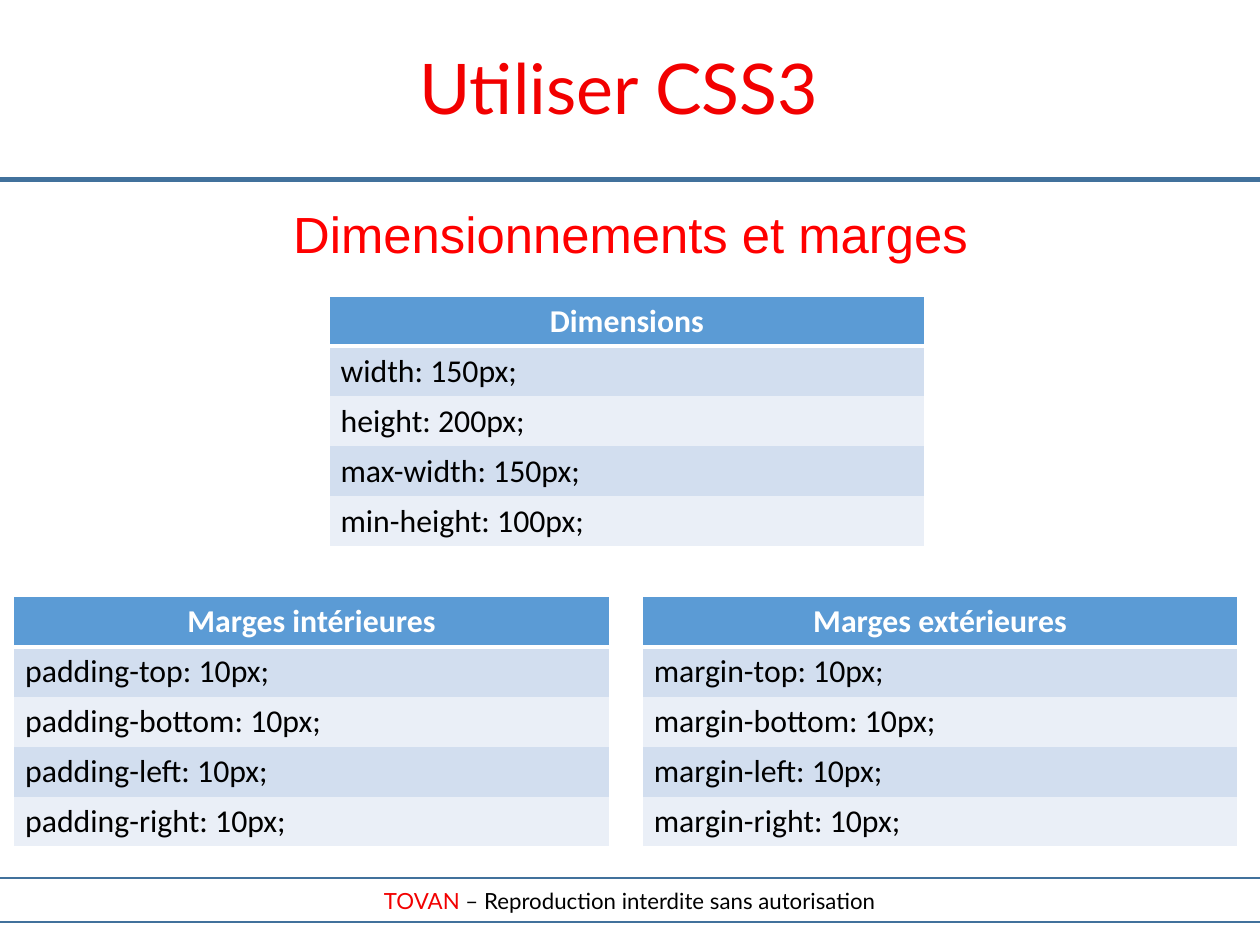
from dataclasses import dataclass

from lxml import etree
from pptx import Presentation
from pptx.dml.color import RGBColor
from pptx.enum.shapes import MSO_CONNECTOR, MSO_SHAPE
from pptx.enum.text import MSO_ANCHOR, MSO_AUTO_SIZE, PP_ALIGN
from pptx.oxml.ns import qn
from pptx.util import Inches, Pt

CENTER, LEFT = PP_ALIGN.CENTER, PP_ALIGN.LEFT
TOP, MIDDLE = MSO_ANCHOR.TOP, MSO_ANCHOR.MIDDLE
GROW = MSO_AUTO_SIZE.SHAPE_TO_FIT_TEXT
STRAIGHT, RECTANGLE = MSO_CONNECTOR.STRAIGHT, MSO_SHAPE.RECTANGLE

COLORS = {
    "title": "F20000",
    "subtitle": "FF0000",
    "rule": "41719C",
    "header": "5B9BD5",
    "odd": "D2DEEF",
    "even": "EAEFF7",
    "white": "FFFFFF",
    "black": "000000",
}
# The page measures 28 by 21 centimetres
PAGE_WIDTH, PAGE_HEIGHT = 28 / 2.54, 21 / 2.54
TABLE_WIDTH, TABLE_HEIGHT = 5.21, 2.19


@dataclass
class PropertyTable:
    left: float
    top: float
    heading: str
    rules: list[str]


TABLES = [
    PropertyTable(5.62, 5.22, "Marges extérieures",
                  [f"margin-{side}: 10px;" for side in ("top", "bottom", "left", "right")]),
    PropertyTable(2.88, 2.59, "Dimensions",
                  ["width: 150px;", "height: 200px;", "max-width: 150px;", "min-height: 100px;"]),
    PropertyTable(0.12, 5.22, "Marges intérieures",
                  [f"padding-{side}: 10px;" for side in ("top", "bottom", "left", "right")]),
]


def color(name: str) -> RGBColor:
    return RGBColor.from_string(COLORS[name])


def add_run(para, text: str, font: str, size: float, color_name: str, bold: bool = False) -> None:
    span = para.add_run()
    span.text = text
    span.font.name = font
    span.font.size = Pt(size)
    span.font.bold = bold
    span.font.color.rgb = color(color_name)


def place(box, left: float, top: float, width: float, height: float) -> None:
    box.left, box.top = Inches(left), Inches(top)
    box.width, box.height = Inches(width), Inches(height)


def set_insets(frame, across: float, down: float) -> None:
    frame.margin_left = frame.margin_right = Inches(across)
    frame.margin_top = frame.margin_bottom = Inches(down)
    frame.word_wrap = True


def add_border(cell, side: str, points: float) -> None:
    """Draw a white cell border, or none when points is zero."""
    line = etree.SubElement(cell._tc.get_or_add_tcPr(), qn(f"a:ln{side}"), w=str(Pt(points)))
    if points:
        fill = etree.SubElement(line, qn("a:solidFill"))
        etree.SubElement(fill, qn("a:srgbClr"), val=COLORS["white"])
    else:
        etree.SubElement(line, qn("a:noFill"))


def add_property_table(page, item: PropertyTable) -> None:
    texts = [item.heading, *item.rules]
    count = len(texts)
    table = page.shapes.add_table(count, 1, Inches(item.left), Inches(item.top),
                                  Inches(TABLE_WIDTH), Inches(TABLE_HEIGHT)).table
    # Widths of the horizontal borders, from the top edge to the bottom edge
    edges = [1, 3] + [0] * (count - 2) + [1]
    for row, text in enumerate(texts):
        cell = table.cell(row, 0)
        for side, points in zip("LRTB", (1, 1, edges[row], edges[row + 1])):
            add_border(cell, side, points)
        is_header = row == 0
        cell.fill.solid()
        cell.fill.fore_color.rgb = color("header" if is_header else "odd" if row % 2 else "even")
        para = cell.text_frame.paragraphs[0]
        para.alignment = CENTER if is_header else LEFT
        add_run(para, text, "Calibri", 20, "white" if is_header else "black", is_header)


def add_footer(page) -> None:
    box = page.shapes.add_shape(RECTANGLE, Inches(-0.2), Inches(7.68), Inches(11.42), Inches(0.39))
    box.shadow.inherit = False
    box.fill.background()
    box.line.color.rgb = color("rule")
    box.line.width = Pt(1.42)
    set_insets(box.text_frame, 0.01, 0.01)
    box.text_frame.vertical_anchor = MIDDLE
    para = box.text_frame.paragraphs[0]
    para.alignment = CENTER
    add_run(para, "TOVAN", "Lato", 14, "title")
    add_run(para, " – Reproduction interdite sans autorisation", "Lato", 14, "black")


def add_header_rule(page) -> None:
    rule = page.shapes.add_connector(STRAIGHT, 0, Inches(1.57), Inches(PAGE_WIDTH), Inches(1.57))
    rule.line.color.rgb = color("rule")
    rule.line.width = Pt(2.83)
    etree.SubElement(rule._element.spPr, qn("a:effectLst"))


def add_title(page) -> None:
    title = page.shapes.title
    place(title, -0.12, 0.34, 11.07, 0.82)
    frame = title.text_frame
    set_insets(frame, 0.1, 0.05)
    frame.vertical_anchor = TOP
    frame.auto_size = GROW
    para = frame.paragraphs[0]
    para.alignment = CENTER
    para.space_before = Pt(17.3)
    add_run(para, "Utiliser CSS3", "Lato", 44, "title")


def add_subtitle(page) -> None:
    box = page.shapes.add_textbox(Inches(0.39), Inches(1.77), Inches(10.26), Inches(5.62))
    set_insets(box.text_frame, 0, 0)
    para = box.text_frame.paragraphs[0]
    para.alignment = CENTER
    para.space_after = Pt(14.3)
    add_run(para, "Dimensionnements et marges", "Arial", 32, "subtitle")


def main() -> None:
    deck = Presentation()
    deck.slide_width, deck.slide_height = Inches(PAGE_WIDTH), Inches(PAGE_HEIGHT)
    page = deck.slides.add_slide(deck.slide_layouts.get_by_name("Title Only"))

    # Page frame
    add_footer(page)
    add_header_rule(page)

    # Headings
    add_title(page)
    add_subtitle(page)

    # Property tables
    for item in TABLES:
        add_property_table(page, item)

    deck.save("out.pptx")


if __name__ == "__main__":
    main()
